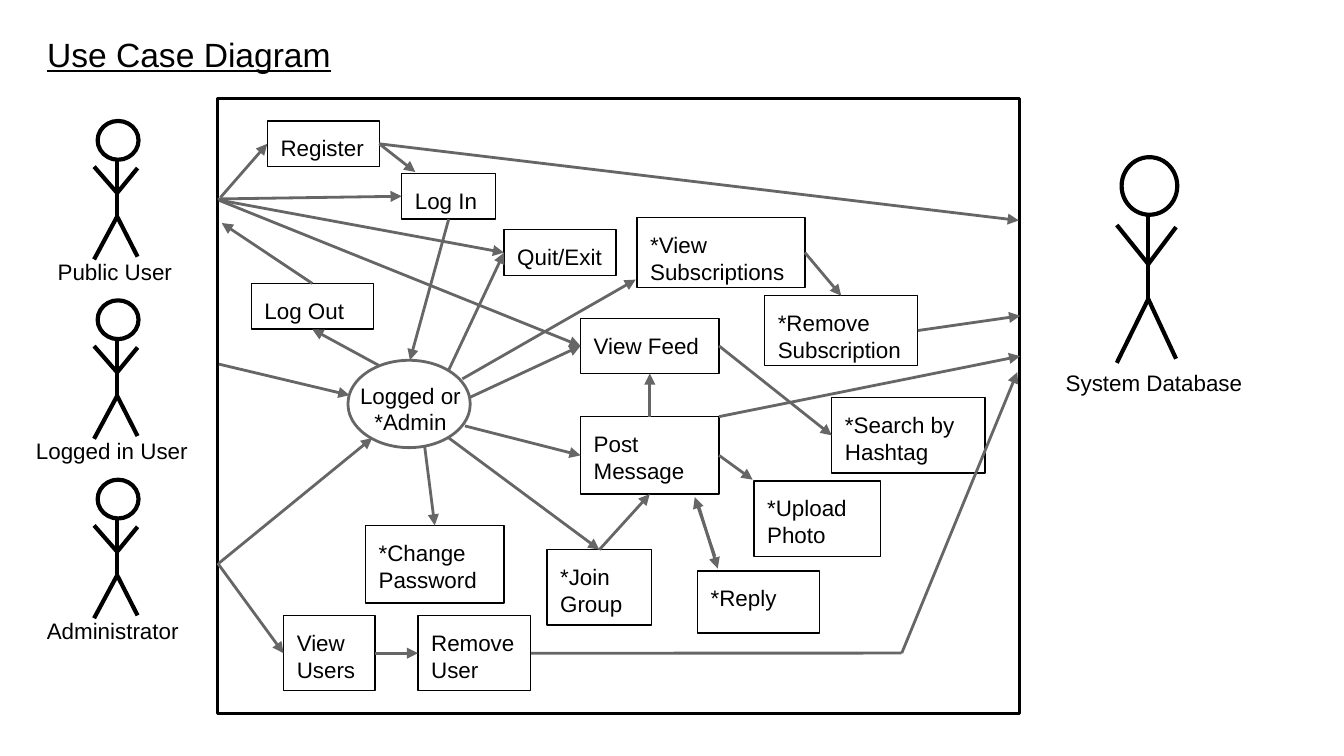
from dataclasses import dataclass
from lxml import etree
from pptx import Presentation
from pptx import util as u
from pptx.dml.color import RGBColor
from pptx.enum import shapes as sh, text as tx
from pptx.oxml.ns import qn


@dataclass(frozen=True)
class Theme:
    ink: RGBColor = RGBColor(0, 0, 0)
    gray: RGBColor = RGBColor(0x66, 0x66, 0x66)
    font: str = "Arial"
    head: float = 18
    body: float = 12
    thin: float = 0.75
    mid: float = 1.5
    bold: float = 2.25
    pad: float = 7.2


T = Theme()
RECT, OVAL = sh.MSO_SHAPE.RECTANGLE, sh.MSO_SHAPE.OVAL
TOP, LEFT, BASE, RIGHT = range(4)  # connection sites of a rectangle


def pts(*vals):
    return [u.Pt(round(v, 2)) for v in vals]


def write(shape, words, size=T.body, align=tx.PP_ALIGN.LEFT):
    frame = shape.text_frame
    frame.word_wrap = True
    frame.auto_size = tx.MSO_AUTO_SIZE.NONE
    frame.vertical_anchor = tx.MSO_ANCHOR.TOP
    for side in ("left", "top", "right", "bottom"):
        setattr(frame, "margin_" + side, u.Pt(T.pad))
    frame.text = words
    for para in frame.paragraphs:
        para.alignment = align
        para.font.name, para.font.size = T.font, u.Pt(size)
        para.font.color.rgb = T.ink


def label(parent, box, words, align=tx.PP_ALIGN.LEFT):
    write(parent.add_textbox(*pts(*box)), words, align=align)


def outline(parent, kind, box, width, color=T.ink):
    shape = parent.add_shape(kind, *pts(*box))
    shape.shadow.inherit = False
    shape.fill.background()
    shape.line.color.rgb, shape.line.width = color, u.Pt(width)
    return shape


def stroke(parent, start, end, width, color=T.ink, tip=False):
    line = parent.add_connector(sh.MSO_CONNECTOR.STRAIGHT, *pts(*start, *end))
    line.line.color.rgb, line.line.width = color, u.Pt(width)
    props = line.element.spPr
    if tip:
        etree.SubElement(props.find(qn("a:ln")), qn("a:tailEnd"), type="triangle")
    etree.SubElement(props, qn("a:effectLst"))
    return line


def title(slide, box, words):
    shape = slide.shapes.title
    shape.left, shape.top, shape.width, shape.height = pts(*box)
    write(shape, words, T.head)
    shape.text_frame.paragraphs[0].font.underline = True


# Limbs as fractions of the figure's box
NECK, ARM, HIP = (0.52, 0.28), (0.52, 0.52), (0.52, 0.69)
LIMBS = [(NECK, HIP), (HIP, (0, 1)), (ARM, (0.98, 0.34)),
         (ARM, (0, 0.33)), (HIP, (0.98, 0.98))]


def actor(slide, box, name, tag):
    x, y, w, h = box
    group = slide.shapes.add_group_shape().shapes
    outline(group, OVAL, (x + 0.08 * w, y, 0.92 * w, 0.28 * h), T.bold)
    for limb in LIMBS:
        start, end = [(x + a * w, y + b * h) for a, b in limb]
        stroke(group, start, end, T.bold)
    label(slide.shapes, tag, name)


# Use cases: left, top, width, height inside the system frame
CASES = {
    "Register": (26.6, 12.2, 60, 24.5),
    "Log In": (98.6, 40.3, 50.4, 24.5),
    "Quit/Exit": (153.4, 70.5, 60, 24.5),
    "Log Out": (18, 99.3, 65.5, 24.5),
    "Post Message": (194.4, 170.6, 74.2, 41.5),
    "*Change\nPassword": (79.2, 228.9, 74.2, 41.5),
    "*Upload Photo": (287.3, 205.2, 67.7, 40.3),
    "View Feed": (194.4, 118, 74.2, 29.5),
    "*Join Group": (176.4, 241.9, 56.2, 40.3),
    "View Users": (35.3, 277.2, 49, 40.3),
    "Remove User": (107.3, 277.2, 60.5, 40.3),
    "*Reply": (257, 253.4, 65.5, 33.1),
    "*View Subscriptions": (224.6, 64, 90, 37.4),
    "*Remove Subscription": (293, 105.8, 82.1, 37.4),
    "*Search by Hashtag": (329, 160.5, 82.1, 40.3),
}

# Each end is a point in the frame, or a use case and its side
ARROWS = [
    ((0, 54), ("Log In", LEFT)),
    (("Register", RIGHT), (429.2, 65.5)),
    (("Log In", BASE), (103, 140.4)),
    ((0.7, 142.5), (70.6, 159.1)),
    ((0.7, 249.1), (82.8, 182.1)),
    ((134.7, 160.5), ("View Feed", LEFT)),
    ((132.5, 175.6), ("Post Message", LEFT)),
    ((1.5, 54.7), ("Quit/Exit", LEFT)),
    ((123.9, 145.4), ("Quit/Exit", LEFT)),
    ((86.4, 143.2), ("Log Out", BASE)),
    (("Log Out", TOP), (2.2, 66.9)),
    (("Post Message", RIGHT), (286.6, 204.4)),
    ((110.9, 186.4), ("*Change\nPassword", TOP)),
    ((123.9, 182.1), ("*Join Group", TOP)),
    (("*Join Group", TOP), ("Post Message", BASE)),
    ((0.7, 54.7), ("View Feed", LEFT)),
    ((1.5, 53.2), ("Register", LEFT)),
    (("Register", RIGHT), (105.9, 39.6)),
    (("Post Message", TOP), ("View Feed", BASE)),
    ((0, 249.1), ("View Users", LEFT)),
    (("View Users", RIGHT), ("Remove User", LEFT)),
    ((366.5, 297.3), (428.4, 146.8)),
    ((268.6, 170.6), (429.9, 138.2)),
    ((266.4, 245.5), (255.6, 213.8)),
    ((257.8, 218.8), (267.9, 252)),
    ((131.1, 150.4), (224, 97.2)),
    (("*View Subscriptions", RIGHT), ("*Remove Subscription", TOP)),
    (("*Remove Subscription", RIGHT), (429.9, 116.6)),
    (("View Feed", RIGHT), ("*Search by Hashtag", LEFT)),
]
PLAIN = [(("Remove User", RIGHT), (366.5, 297.3))]


def system(slide, box):
    x, y = box[:2]
    parts = slide.shapes
    outline(parts, RECT, box, T.mid)

    def place(a, b, w, h):
        return x + a, y + b, w, h

    # Use case boxes
    nodes = {}
    for name, area in CASES.items():
        nodes[name] = outline(parts, RECT, place(*area), T.thin)
        write(nodes[name], name)

    # Signed-in hub
    hub = parts.add_group_shape().shapes
    outline(hub, OVAL, place(69.8, 140.4, 65.5, 46.8), T.mid, T.gray)
    label(hub, place(66.2, 144.7, 74.2, 46.8), "Logged or *Admin",
          tx.PP_ALIGN.CENTER)

    # Flows
    def spot(end):
        if end[0] not in CASES:
            return x + end[0], y + end[1]
        a, b, w, h = place(*CASES[end[0]])
        return [(a + w / 2, b), (a, b + h / 2),
                (a + w / 2, b + h), (a + w, b + h / 2)][end[1]]

    for flows, tip in ((ARROWS, True), (PLAIN, False)):
        for start, end in flows:
            line = stroke(parts, spot(start), spot(end), T.mid, T.gray, tip)
            if start[0] in nodes:
                line.begin_connect(nodes[start[0]], start[1])
            if end[0] in nodes:
                line.end_connect(nodes[end[0]], end[1])


deck = Presentation()
deck.slide_width, deck.slide_height = pts(720, 405)
page = deck.slides.add_slide(deck.slide_layouts[5])
title(page, (18, 10.8, 245.5, 46.8), "Use Case Diagram")
system(page, (116.6, 52.6, 429.8, 329.8))

# Actors
users = [("Public User", 23.8), ("Logged in User", 12.2), ("Administrator", 18)]
for i, (name, left) in enumerate(users):
    top = 64.8 + 96.1 * i
    actor(page, (50.4, top, 23.8, 74.2), name, (left, top + 66.2, 98.6, 24.5))
actor(page, (598.3, 84.2, 32.4, 110.2), "System Database",
      (563.8, 190.8, 121, 24.5))
deck.save("out.pptx")
